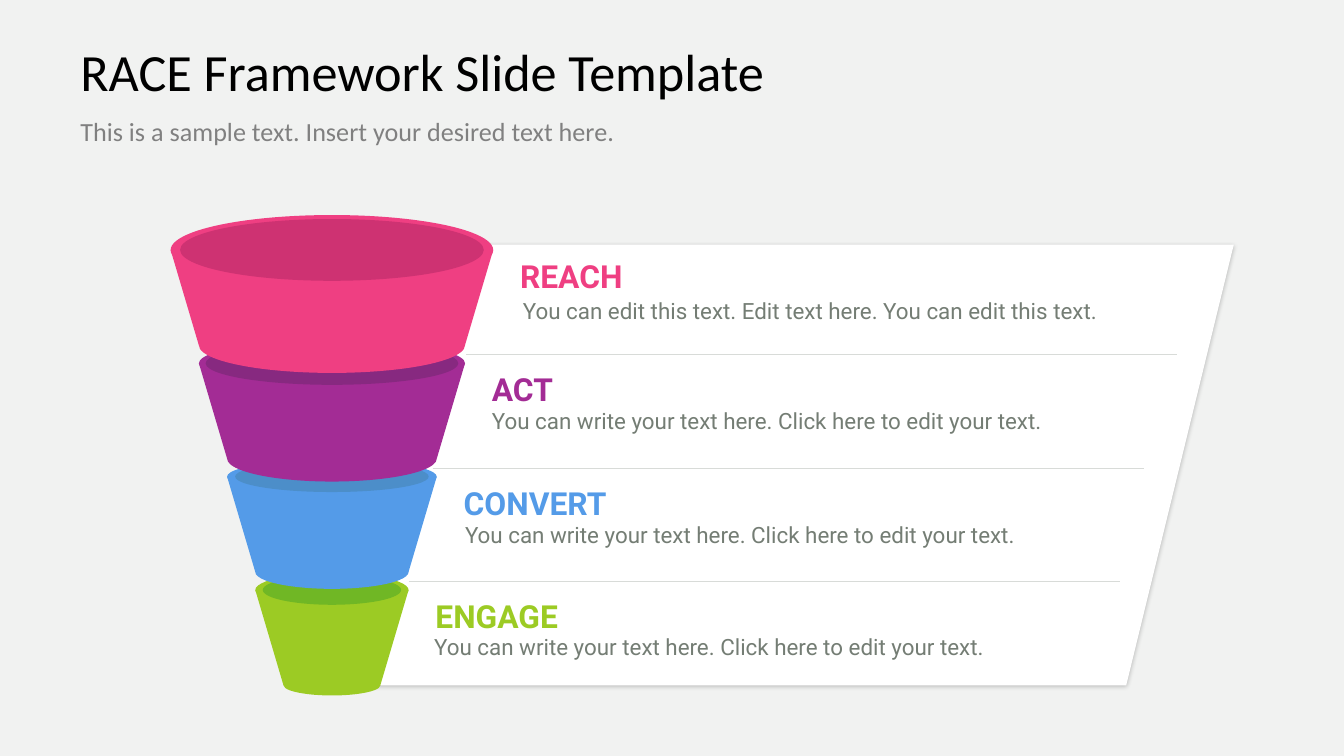
from lxml import etree
from pptx import Presentation
from pptx.dml.color import RGBColor
from pptx.enum.shapes import MSO_CONNECTOR, MSO_SHAPE
from pptx.enum.text import MSO_ANCHOR
from pptx.oxml.ns import qn
from pptx.util import Inches, Pt

OVAL = MSO_SHAPE.OVAL
STRAIGHT = MSO_CONNECTOR.STRAIGHT
MIDDLE = MSO_ANCHOR.MIDDLE
TOP = MSO_ANCHOR.TOP

BACKGROUND = RGBColor(0xF1, 0xF2, 0xF1)
WHITE = RGBColor(0xFF, 0xFF, 0xFF)
BLACK = RGBColor(0, 0, 0)
GREY = RGBColor(0x80, 0x80, 0x80)
BODY_GREY = RGBColor(0x74, 0x7D, 0x74)
RULE_GREY = RGBColor(0xD8, 0xDB, 0xD8)
PINK = RGBColor(0xEF, 0x3F, 0x82)
DARK_PINK = RGBColor(0xCE, 0x32, 0x72)
PURPLE = RGBColor(0xA3, 0x2C, 0x95)
DARK_PURPLE = RGBColor(0x87, 0x29, 0x80)
BLUE = RGBColor(0x54, 0x9B, 0xE8)
DARK_BLUE = RGBColor(0x4C, 0x8E, 0xC9)
GREEN = RGBColor(0x9C, 0xCB, 0x24)
DARK_GREEN = RGBColor(0x70, 0xB7, 0x25)

# Content
TITLE = "RACE Framework Slide Template"
SUBTITLE = "This is a sample text. Insert your desired text here."
WRITE_TEXT = "You can write your text here. Click here to edit your text."
EDIT_TEXT = "You can edit this text. Edit text here. You can edit this text."

# heading, description, description (left, top), colour, dark colour,
# rim height, opening (width, height), base height
STAGES = [
    ("REACH", EDIT_TEXT, (3.89, 2.21), PINK, DARK_PINK, 0.52, (2.26, 0.46), 0.41),
    ("ACT", WRITE_TEXT, (3.66, 3.03), PURPLE, DARK_PURPLE, 0.34, (1.88, 0.32), 0.34),
    ("CONVERT", WRITE_TEXT, (3.46, 3.88), BLUE, DARK_BLUE, 0.25, (1.44, 0.23), 0.25),
    ("ENGAGE", WRITE_TEXT, (3.23, 4.71), GREEN, DARK_GREEN, 0.25, (1.03, 0.22), 0.15),
]
DIVIDER_STARTS = [3.47, 3.22, 3.04]
DIVIDER_LENGTH = 5.29

# Funnel geometry, in inches
CENTER = 2.47
FIRST_RIM, LAST_RIM = 1.86, 4.39
ROW_STEP = (LAST_RIM - FIRST_RIM) / (len(STAGES) - 1)
BAND_HEIGHT = 0.71
HALF_WIDTH = 1.2
TAPER = 0.21  # lost on each side per stage

presentation = Presentation()
presentation.slide_width = Inches(10)
presentation.slide_height = presentation.slide_width * 9 // 16
slide = presentation.slides.add_slide(presentation.slide_layouts[6])
slide.background.fill.solid()
slide.background.fill.fore_color.rgb = BACKGROUND
shapes = slide.shapes


def paint(shape, color):
    shape.shadow.inherit = False
    shape.fill.solid()
    shape.fill.fore_color.rgb = color
    shape.line.fill.background()


def add_polygon(points, color):
    points = [(Inches(x), Inches(y)) for x, y in points]
    builder = shapes.build_freeform(*points[0], scale=1.0)
    builder.add_line_segments(points[1:], close=True)
    polygon = builder.convert_to_shape()
    paint(polygon, color)
    return polygon


def add_ellipse(middle, width, height, color):
    ellipse = shapes.add_shape(OVAL, Inches(CENTER - width / 2), Inches(middle - height / 2),
                               Inches(width), Inches(height))
    paint(ellipse, color)


def add_text(text, box, size, color, font="Roboto", bold=False, insets=(0, 0), anchor=TOP, wrap=True):
    frame = shapes.add_textbox(*map(Inches, box)).text_frame
    frame.word_wrap = wrap
    frame.vertical_anchor = anchor
    frame.margin_left = frame.margin_right = Inches(insets[0])
    frame.margin_top = frame.margin_bottom = Inches(insets[1])
    frame.text = text
    run_font = frame.paragraphs[0].runs[0].font
    run_font.name, run_font.size, run_font.bold = font, Pt(size), bold
    run_font.color.rgb = color


# White panel with a soft shadow
panel = add_polygon([(8.38, 5.1), (2.64, 5.1), (2.64, 1.82), (9.18, 1.82)], WHITE)
effects = panel._element.spPr.find(qn("a:effectLst"))
shadow = etree.SubElement(effects, qn("a:outerShdw"), blurRad=str(Pt(2)), dist=str(Pt(1)),
                          dir="5400000", algn="t", rotWithShape="0")
shadow_color = etree.SubElement(shadow, qn("a:srgbClr"), val="000000")
etree.SubElement(shadow_color, qn("a:alpha"), val="23000")

# Funnel, from the bottom up so each stage overlaps the one below
for index, stage in reversed(list(enumerate(STAGES))):
    color, dark_color, rim_height, opening, base_height = stage[3:]
    rim = FIRST_RIM + index * ROW_STEP
    base = rim + BAND_HEIGHT
    wide = HALF_WIDTH - index * TAPER
    narrow = wide - TAPER
    add_polygon([(CENTER - wide, rim), (CENTER + wide, rim),
                 (CENTER + narrow, base), (CENTER - narrow, base)], color)
    add_ellipse(base, 2 * narrow, base_height, color)
    add_ellipse(rim, 2 * wide, rim_height, color)
    add_ellipse(rim, *opening, dark_color)

# Title and subtitle
add_text(TITLE, (0.5, 0.23, 9, 0.59), 28, BLACK, "Calibri", insets=(0.1, 0.05), anchor=MIDDLE)
add_text(SUBTITLE, (0.5, 0.81, 9, 0.42), 14, GREY, "Calibri", insets=(0.1, 0.05))

# Stage headings and descriptions
for index, (heading, description, position, color, *_) in enumerate(STAGES):
    heading_box = (3.87 - index * TAPER, 1.91 + index * ROW_STEP, 1.16, 0.29)
    add_text(heading, heading_box, 17, color, bold=True, wrap=False)
    add_text(description, (*position, 4.85, 0.33), 12, BODY_GREY)

# Dividers between the stages
for index, start in enumerate(DIVIDER_STARTS):
    y = Inches(2.64 + index * ROW_STEP)
    divider = shapes.add_connector(STRAIGHT, Inches(start), y, Inches(start + DIVIDER_LENGTH), y)
    divider.line.color.rgb = RULE_GREY
    divider.line.width = Pt(0.5)
    etree.SubElement(divider._element.spPr, qn("a:effectLst"))

presentation.save("out.pptx")
